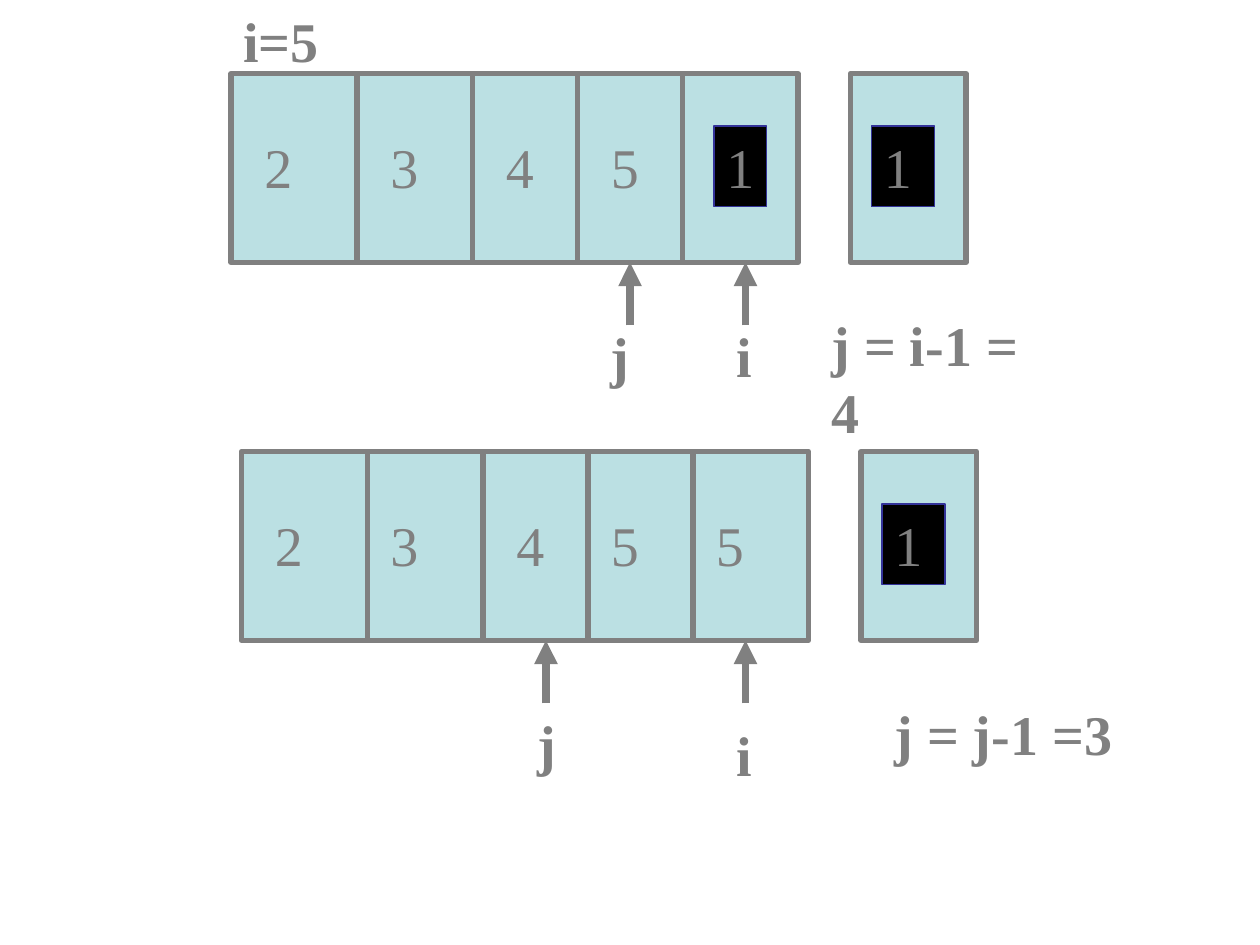
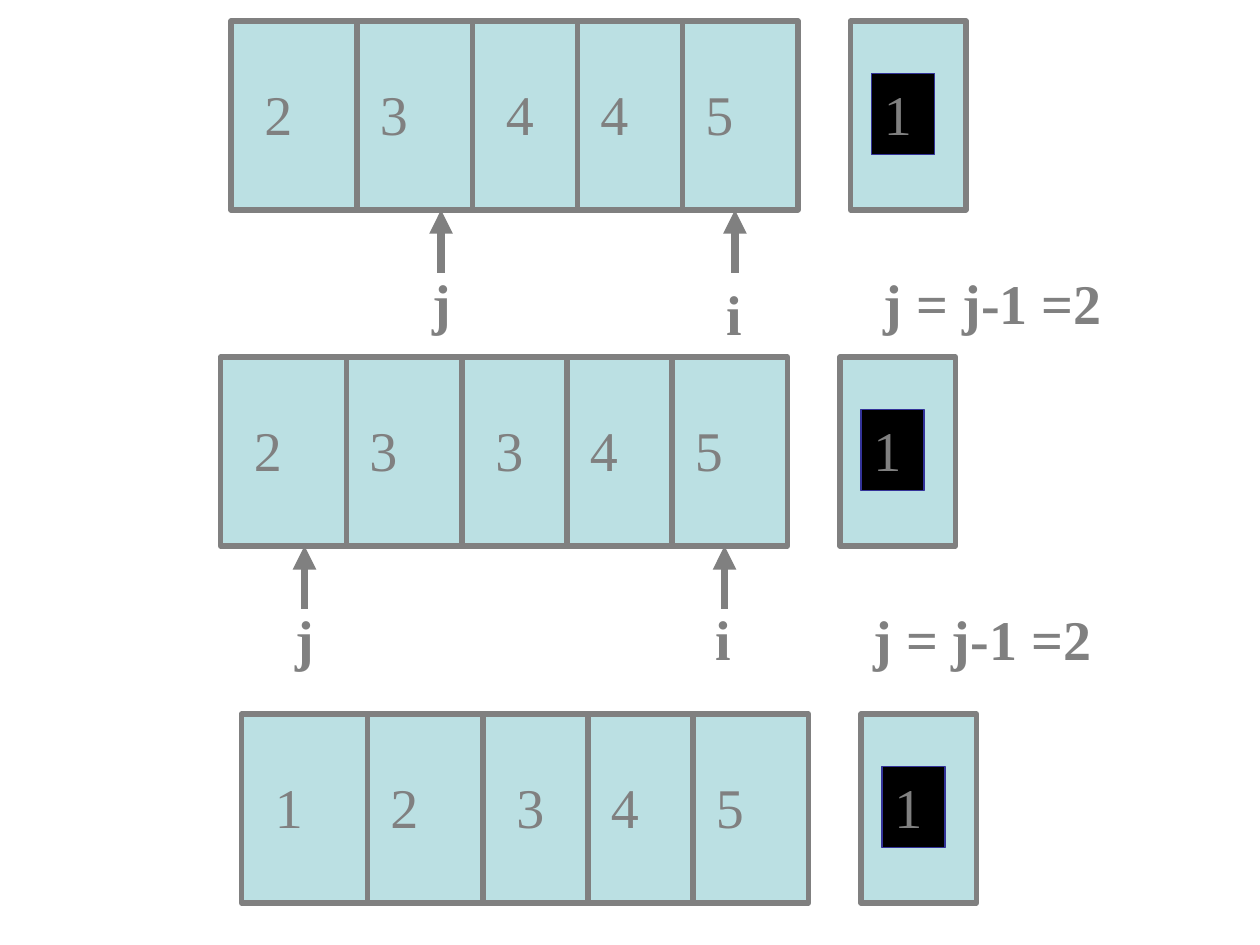
"""Build two slides tracing one insertion-sort pass over a five-cell array."""
import pptx
import pptx.dml.color
import pptx.enum.shapes
import pptx.enum.text
import pptx.oxml.ns
import pptx.util
from lxml import etree

PX = 914400 // 120
COLORS = {"cell": "BBE0E3", "gray": "808080", "key": "000000", "key_line": "333399"}
FONT = "Times New Roman"

ARRAY_WIDTH, ROW_HEIGHT = 540, 180
DIVIDERS = (120, 230, 330, 430)
KEY_CELL_LEFT, KEY_CELL_WIDTH = 590, 110
KEY_LEFT, KEY_WIDTH = 610, 60
VALUE_TOP, VALUE_WIDTH, TEXT_HEIGHT = 50, 90, 77
VALUE_LEFTS = (20, 130, 250, 340, 440)
FIRST_VALUE_LEFTS = (20, 140, 250, 350, 460)
ARROW_LENGTH, POINTER_WIDTH = 60, 50

# Pointers: name, arrow x, label left, label top; formula: text, left, top, width.
# All offsets are measured from the top left corner of the array.
SLIDES = [
    {
        "heading": ("i=5", 220, 0, 100),
        "rows": [
            {"left": 220, "top": 70, "values": "2345", "lefts": FIRST_VALUE_LEFTS,
             "marked": ("1", 460, 50),
             "pointers": [("j", 380, 350, 230), ("i", 490, 470, 230)],
             "formula": ("j = i-1 = 4", 560, 220, 241)},
            {"left": 230, "top": 430, "values": "23455",
             "pointers": [("j", 290, 270, 240), ("i", 480, 460, 250)],
             "formula": ("j = j-1 =3", 610, 230, 232)},
        ],
    },
    {
        "rows": [
            {"left": 220, "top": 20, "values": "23445",
             "pointers": [("j", 200, 180, 230), ("i", 480, 460, 240)],
             "formula": ("j = j-1 =2", 610, 230, 232)},
            {"left": 210, "top": 340, "values": "23345",
             "pointers": [("j", 80, 60, 230), ("i", 480, 460, 230)],
             "formula": ("j = j-1 =2", 610, 230, 232)},
            {"left": 230, "top": 680, "values": "12345"},
        ],
    },
]


def rgb(name):
    return pptx.dml.color.RGBColor.from_string(COLORS[name])


def px(*lengths):
    return [length * PX for length in lengths]


def write(shape, text, bold=False, wrap=True):
    frame = shape.text_frame
    frame.word_wrap = wrap
    frame.vertical_anchor = pptx.enum.text.MSO_ANCHOR.TOP
    frame.auto_size = pptx.enum.text.MSO_AUTO_SIZE.SHAPE_TO_FIT_TEXT
    paragraph = frame.paragraphs[0]
    paragraph.text = text
    paragraph.alignment = pptx.enum.text.PP_ALIGN.LEFT
    paragraph.font.name = FONT
    paragraph.font.size = pptx.util.Pt(32)
    paragraph.font.bold = bold
    paragraph.font.color.rgb = rgb("gray")


def add_text(slide, text, left, top, width, bold=False, wrap=True):
    box = slide.shapes.add_textbox(*px(left, top, width, TEXT_HEIGHT))
    write(box, text, bold, wrap)


def add_box(slide, left, top, width, height, fill="cell", line="gray", weight=3):
    box = slide.shapes.add_shape(
        pptx.enum.shapes.MSO_SHAPE.RECTANGLE, *px(left, top, width, height))
    box.shadow.inherit = False
    box.fill.solid()
    box.fill.fore_color.rgb = rgb(fill)
    box.line.color.rgb = rgb(line)
    box.line.width = pptx.util.Pt(weight)
    return box


def add_key(slide, text, left, top, width):
    box = add_box(slide, left, top, width, TEXT_HEIGHT, "key", "key_line", 0.75)
    write(box, text)


def add_line(slide, x, start, end, weight=3, arrow=False):
    line = slide.shapes.add_connector(
        pptx.enum.shapes.MSO_CONNECTOR.STRAIGHT, *px(x, start, x, end))
    line.line.color.rgb = rgb("gray")
    line.line.width = pptx.util.Pt(weight)
    if arrow:
        etree.SubElement(line.line._get_or_add_ln(),
                         pptx.oxml.ns.qn("a:tailEnd"), type="triangle")
    etree.SubElement(line._element.spPr, pptx.oxml.ns.qn("a:effectLst"))


def add_row(slide, row):
    left, top = row["left"], row["top"]
    bottom = top + ROW_HEIGHT
    add_box(slide, left, top, ARRAY_WIDTH, ROW_HEIGHT)
    for divider in DIVIDERS:
        add_line(slide, left + divider, top, bottom)
    for value, offset in zip(row["values"], row.get("lefts", VALUE_LEFTS)):
        add_text(slide, value, left + offset, top + VALUE_TOP, VALUE_WIDTH)

    add_box(slide, left + KEY_CELL_LEFT, top, KEY_CELL_WIDTH, ROW_HEIGHT)
    keys = [("1", KEY_LEFT, KEY_WIDTH)]
    if "marked" in row:
        keys.append(row["marked"])
    for text, offset, width in keys:
        add_key(slide, text, left + offset, top + VALUE_TOP, width)

    for name, arrow_x, label_left, label_top in row.get("pointers", []):
        add_line(slide, left + arrow_x, bottom + ARROW_LENGTH, bottom, 4.5, arrow=True)
        add_text(slide, name, left + label_left, top + label_top, POINTER_WIDTH, bold=True)
    if "formula" in row:
        text, offset, drop, width = row["formula"]
        add_text(slide, text, left + offset, top + drop, width, bold=True, wrap=False)


def main():
    presentation = pptx.Presentation()
    presentation.slide_width, presentation.slide_height = px(1200, 900)
    for content in SLIDES:
        slide = presentation.slides.add_slide(presentation.slide_layouts[6])
        if "heading" in content:
            add_text(slide, *content["heading"], bold=True)
        for row in content["rows"]:
            add_row(slide, row)
    presentation.save("out.pptx")


if __name__ == "__main__":
    main()
